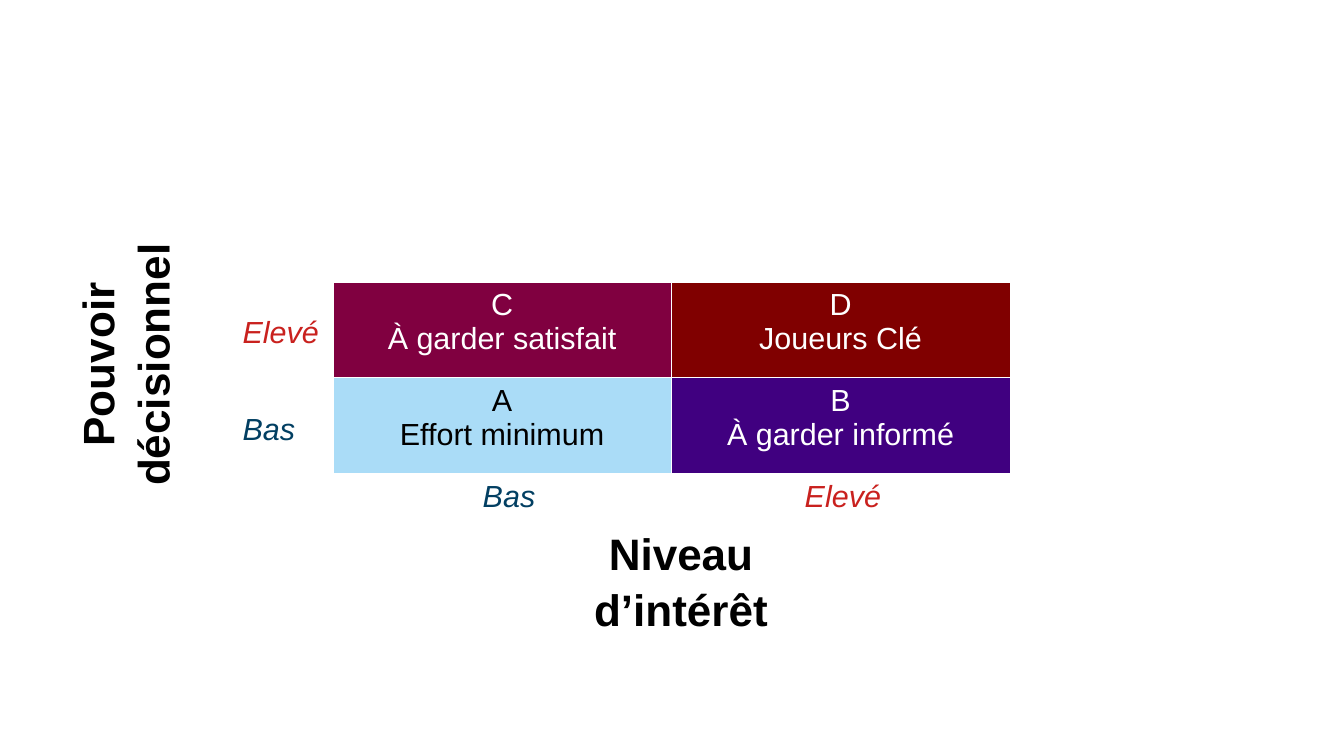
from lxml import etree
from pptx import Presentation
from pptx.dml.color import RGBColor
from pptx.enum.text import PP_ALIGN
from pptx.oxml.ns import qn
from pptx.util import Inches, Pt

CENTER, LEFT = PP_ALIGN.CENTER, PP_ALIGN.LEFT
COLORS = {"white": "FFFFFF", "black": "000000", "red": "C9211E", "navy": "023F62",
          "plum": "800040", "maroon": "800000", "sky": "AADCF7", "violet": "400080"}


class MatrixPage:
    """Draws the elements of a power and interest matrix on one slide."""

    font_name = "Arial"
    border_width = Pt(0.06)

    def __init__(self, page):
        self.page = page

    def color(self, name):
        return RGBColor.from_string(COLORS[name])

    def set_text(self, para, text, size, color, align, bold=False, italic=False):
        para.text = text
        para.alignment = align
        font = para.font
        font.name, font.size = self.font_name, Pt(size)
        font.bold, font.italic = bold, italic
        font.color.rgb = self.color(color)

    def label(self, text, left, top, color):
        box = self.page.shapes.add_textbox(Inches(left), Inches(top), Inches(1.02), Inches(0.39))
        box.text_frame.word_wrap = True
        self.set_text(box.text_frame.paragraphs[0], text, 18, color, LEFT, italic=True)

    def axis_title(self, text, left, top, rotation=0):
        box = self.page.shapes.add_textbox(Inches(left), Inches(top), Inches(2.83), Inches(1.78))
        box.rotation = rotation
        box.text_frame.word_wrap = True
        para = box.text_frame.paragraphs[0]
        self.set_text(para, text, 26, "black", CENTER, bold=True)
        para.line_spacing = 1.05

    def borders(self, cell):
        properties = cell._tc.get_or_add_tcPr()
        for index, side in enumerate(("lnL", "lnR", "lnT", "lnB")):
            line = etree.Element(qn(f"a:{side}"), w=str(self.border_width))
            fill = etree.SubElement(line, qn("a:solidFill"))
            etree.SubElement(fill, qn("a:srgbClr"), val=COLORS["white"])
            properties.insert(index, line)

    def matrix(self, rows, left, top, width, height):
        frame = self.page.shapes.add_table(len(rows), len(rows[0]), Inches(left), Inches(top),
                                           Inches(width), Inches(height))
        table = frame.table
        table.first_row = table.horz_banding = False
        for row_index, row in enumerate(rows):
            for column_index, (letter, action, fill, color) in enumerate(row):
                cell = table.cell(row_index, column_index)
                cell.fill.solid()
                cell.fill.fore_color.rgb = self.color(fill)
                self.borders(cell)
                self.set_text(cell.text_frame.paragraphs[0], letter, 18, color, CENTER)
                self.set_text(cell.text_frame.add_paragraph(), action, 18, color, CENTER)


def main():
    deck = Presentation()
    deck.slide_width, deck.slide_height = Inches(11.02), Inches(6.2)
    matrix_page = MatrixPage(deck.slides.add_slide(deck.slide_layouts[6]))
    matrix_page.matrix([
        [("C", "À garder satisfait", "plum", "white"), ("D", "Joueurs Clé", "maroon", "white")],
        [("A", "Effort minimum", "sky", "black"), ("B", "À garder informé", "violet", "white")],
    ], 2.73, 2.31, 5.55, 1.57)
    for text, color, power_top, interest_left in (("Elevé", "red", 2.52, 6.5),
                                                  ("Bas", "navy", 3.31, 3.86)):
        matrix_page.label(text, 1.89, power_top, color)
        matrix_page.label(text, interest_left, 3.86, color)
    matrix_page.axis_title("Pouvoir décisionnel", -0.02, 2.1, rotation=270)
    matrix_page.axis_title("Niveau d’intérêt", 4.17, 4.25)
    deck.save("out.pptx")


if __name__ == "__main__":
    main()
